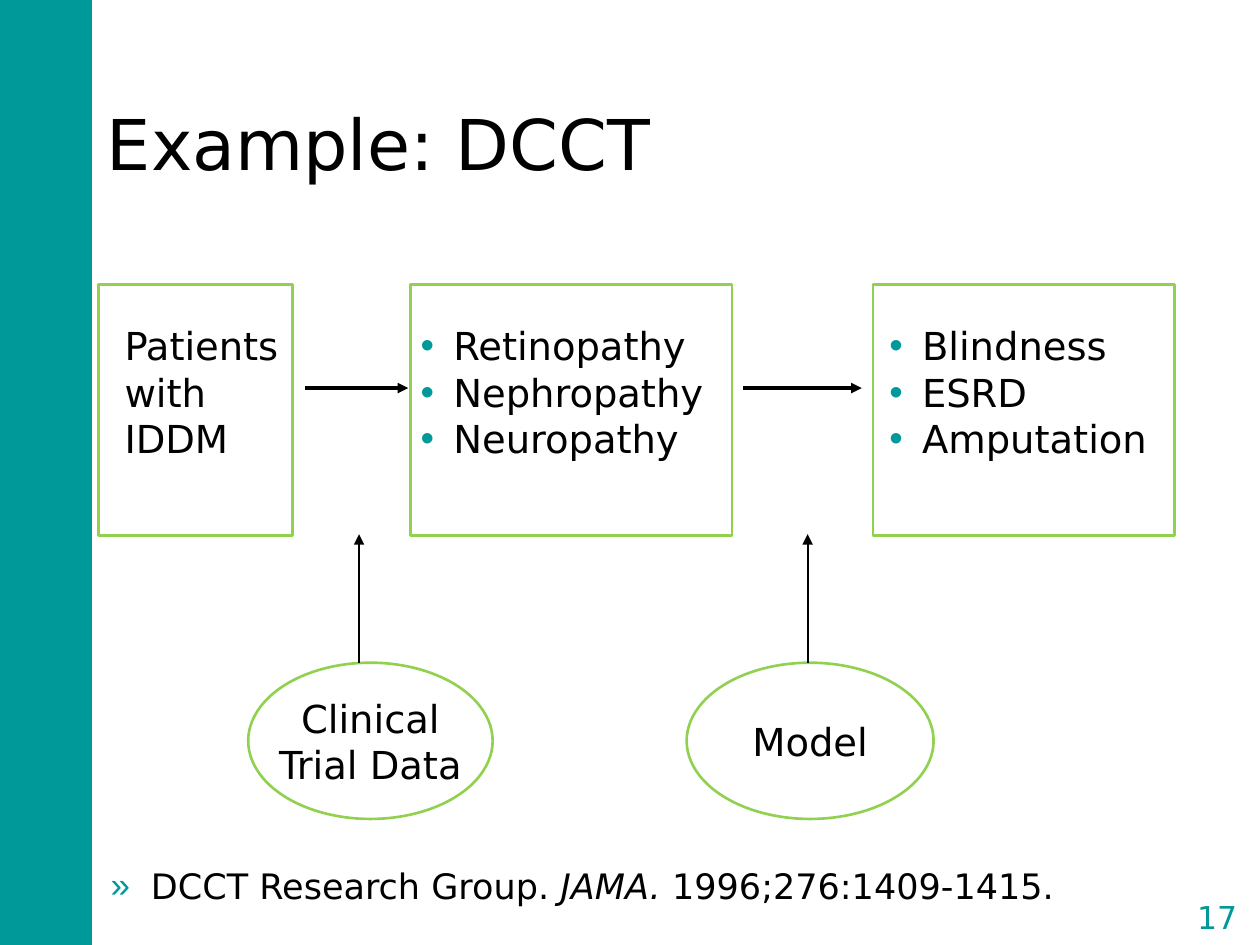
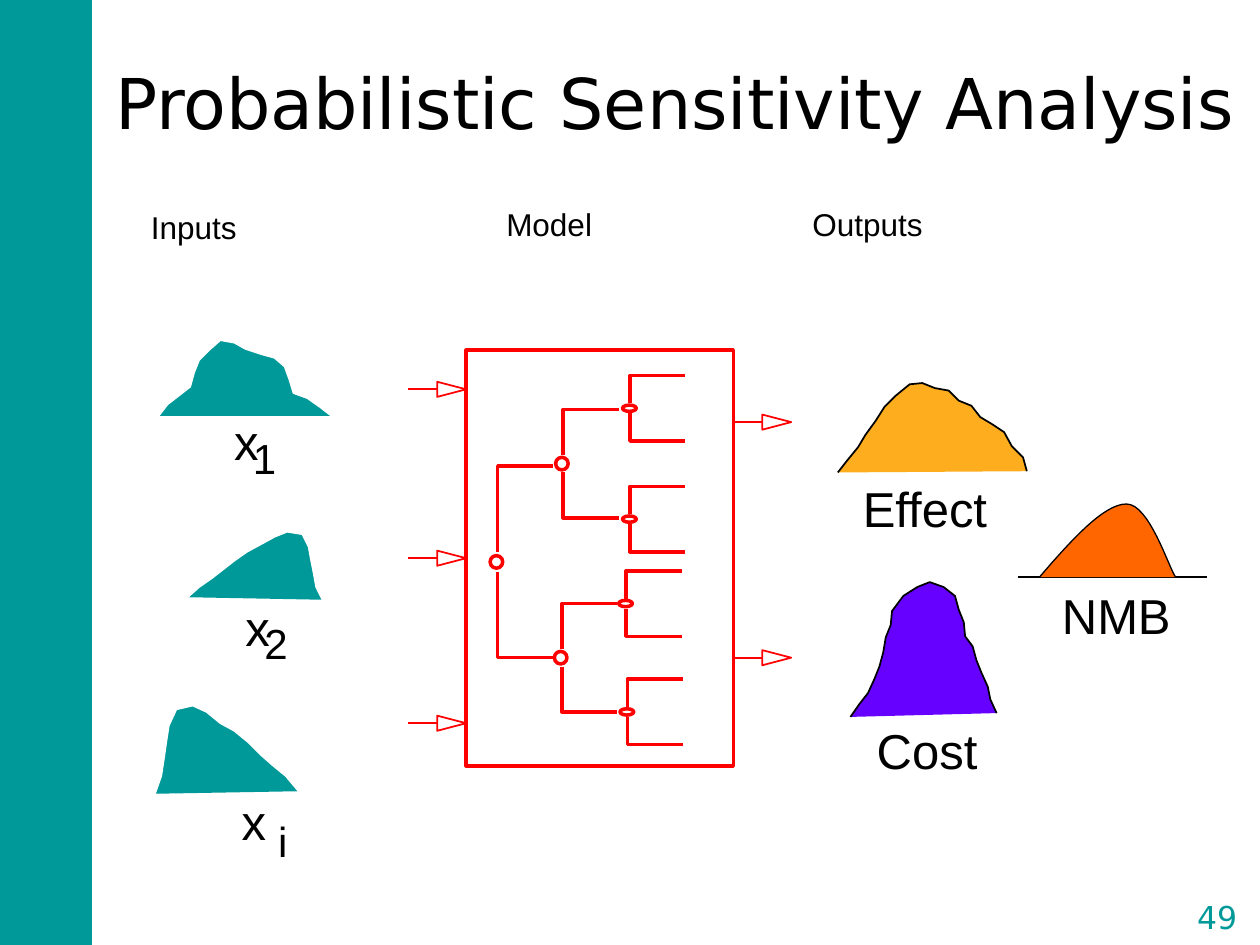
from dataclasses import dataclass
from typing import NamedTuple, Optional

from lxml.etree import SubElement
from pptx import Presentation
from pptx.dml.color import RGBColor
from pptx.enum.shapes import MSO_CONNECTOR, MSO_SHAPE
from pptx.enum.text import MSO_ANCHOR as Anchor, MSO_AUTO_SIZE as AutoSize, PP_ALIGN as Align
from pptx.oxml.ns import qn
from pptx.util import Inches, Pt

WHITE = RGBColor(0xFF, 0xFF, 0xFF)
BLACK = RGBColor(0x00, 0x00, 0x00)
TEAL = RGBColor(0x00, 0x99, 0x99)
GREEN = RGBColor(0x92, 0xD0, 0x50)
RED = RGBColor(0xFF, 0x00, 0x00)
VIOLET = RGBColor(0x66, 0x00, 0xFF)
AMBER = RGBColor(0xFD, 0xAD, 0x1E)
ORANGE = RGBColor(0xFF, 0x66, 0x00)

SANS, ARIAL = "DejaVu Sans", "Arial"
TITLE = {"name": SANS, "size": Pt(40)}
BODY = {"name": SANS, "size": Pt(22)}
SOURCE = {"name": SANS, "size": Pt(20)}
NUMBER = {"name": SANS, "size": Pt(18)}
HEADING = {"name": ARIAL, "size": Pt(18)}
LABEL = {"name": ARIAL, "size": Pt(28)}
SUBSCRIPT = {"name": ARIAL, "size": Pt(24)}


class Area(NamedTuple):
    left: float
    top: float
    width: float
    height: float

    def lengths(self) -> list:
        return [Inches(value) for value in self]


class Point(NamedTuple):
    x: float
    y: float


class Bullet(NamedTuple):
    symbol: str
    indent: float


@dataclass
class Label:
    area: Area
    lines: list  # each line is a string or a list of (text, italic) pairs
    font: dict
    color: RGBColor = BLACK
    align: Align = Align.LEFT
    anchor: Anchor = Anchor.TOP
    wrap: bool = True
    bullet: Optional[Bullet] = None


@dataclass
class Curve:
    points: list
    fill: RGBColor
    line: RGBColor = BLACK
    width: float = 1


class Level(NamedTuple):
    """Measures shared by the forks at one depth of the decision tree."""
    gap: float
    rise: float
    node_width: float
    node_height: float


DOT = Bullet("•", 0.26)
QUOTE = Bullet("»", 0.32)
ROOT = Level(0.08, 0.76, 0.1, 0.1)
MIDDLE = Level(0.07, 0.43, 0.1, 0.1)
LEAF = Level(0.04, 0.26, 0.11, 0.05)
BRANCH_RUN = 0.44


# Text
def add_bullet(para, bullet: Bullet) -> None:
    properties = para._p.get_or_add_pPr()
    properties.set("marL", str(Inches(bullet.indent)))
    properties.set("indent", str(-Inches(bullet.indent)))
    color = SubElement(properties, qn("a:buClr"))
    SubElement(color, qn("a:srgbClr")).set("val", str(TEAL))
    SubElement(properties, qn("a:buFont")).set("typeface", ARIAL)
    SubElement(properties, qn("a:buChar")).set("char", bullet.symbol)


def fill_text(frame, label: Label) -> None:
    frame.word_wrap = label.wrap
    frame.vertical_anchor = label.anchor
    for index, line in enumerate(label.lines):
        para = frame.add_paragraph() if index else frame.paragraphs[0]
        para.alignment = label.align
        if label.bullet:
            add_bullet(para, label.bullet)
        for text, italic in [(line, False)] if isinstance(line, str) else line:
            span = para.add_run()
            span.text = text
            for name, value in {**label.font, "italic": italic}.items():
                setattr(span.font, name, value)
            span.font.color.rgb = label.color


def add_label(page, label: Label) -> None:
    box = page.shapes.add_textbox(*label.area.lengths())
    fill_text(box.text_frame, label)
    if label.anchor == Anchor.TOP:
        box.text_frame.auto_size = AutoSize.SHAPE_TO_FIT_TEXT


# Shapes and lines
def paint(shape, fill: Optional[RGBColor], line: Optional[RGBColor], width: float = 1) -> None:
    shape.shadow.inherit = False
    if fill is None:
        shape.fill.background()
    else:
        shape.fill.solid()
        shape.fill.fore_color.rgb = fill
    if line is None:
        shape.line.fill.background()
    else:
        shape.line.color.rgb = line
        shape.line.width = Pt(width)


def add_preset(page, kind: MSO_SHAPE, area: Area, fill, line, width: float = 1):
    shape = page.shapes.add_shape(kind, *area.lengths())
    paint(shape, fill, line, width)
    return shape


def add_outline(page, points: list, fill, line, width: float = 1, close: bool = False) -> None:
    corners = [(Inches(x), Inches(y)) for x, y in points]
    builder = page.shapes.build_freeform(*corners[0])
    builder.add_line_segments(corners[1:], close=close)
    paint(builder.convert_to_shape(), fill, line, width)


def add_line(page, start: Point, end: Point, color: RGBColor, width: float,
             arrow: bool = False) -> None:
    ends = [Inches(value) for value in (*start, *end)]
    line = page.shapes.add_connector(MSO_CONNECTOR.STRAIGHT, *ends)
    line.line.color.rgb = color
    line.line.width = Pt(width)
    properties = line._element.spPr
    if arrow:
        SubElement(properties.find(qn("a:ln")), qn("a:tailEnd")).set("type", "triangle")
    SubElement(properties, qn("a:effectLst"))


def add_page(deck, title: Label, number: str):
    page = deck.slides.add_slide(deck.slide_layouts[6])
    add_preset(page, MSO_SHAPE.RECTANGLE, Area(0, 0, 0.73, 7.5), TEAL, None)
    add_label(page, title)
    add_label(page, Label(Area(9.26, 7.06, 0.8, 0.43), [number], NUMBER, TEAL,
                          Align.CENTER, Anchor.MIDDLE))
    return page


# Slide with the trial example
def build_trial_page(deck) -> None:
    title = Label(Area(0.75, 0.67, 8.5, 0.92), ["Example: DCCT"], TITLE, anchor=Anchor.MIDDLE)
    page = add_page(deck, title, "17")
    citation = [("DCCT Research Group. ", False), ("JAMA. ", True), ("1996;276:1409-1415.", False)]
    add_label(page, Label(Area(0.78, 6.81, 8.54, 0.43), [citation], SOURCE, bullet=QUOTE))

    # Disease stages: frame left and width, text left and width
    stages = [
        (0.78, 1.54, 0.89, 1.43, ["Patients", "with", "IDDM"], None),
        (3.26, 2.55, 3.24, 2.45, ["Retinopathy", "Nephropathy", "Neuropathy"], DOT),
        (6.93, 2.39, 6.96, 2.25, ["Blindness", "ESRD", "Amputation"], DOT),
    ]
    for left, width, text_left, text_width, lines, bullet in stages:
        add_preset(page, MSO_SHAPE.RECTANGLE, Area(left, 2.26, width, 1.99), WHITE, GREEN, 1.5)
        add_label(page, Label(Area(text_left, 2.51, text_width, 1.21), lines, BODY,
                              wrap=False, bullet=bullet))
    for start, end in [(2.42, 3.24), (5.9, 6.84)]:
        add_line(page, Point(start, 3.08), Point(end, 3.08), BLACK, 2, arrow=True)

    # Evidence behind each step
    for left, width, arrow_x, lines in [(1.97, 1.94, 2.85, ["Clinical", "Trial Data"]),
                                        (5.45, 1.96, 6.41, ["Model"])]:
        area = Area(left, 5.26, width, 1.24)
        oval = add_preset(page, MSO_SHAPE.OVAL, area, WHITE, GREEN, 1.5)
        fill_text(oval.text_frame, Label(area, lines, BODY, align=Align.CENTER,
                                         anchor=Anchor.MIDDLE, wrap=False))
        add_line(page, Point(arrow_x, 5.26), Point(arrow_x, 4.24), BLACK, 1, arrow=True)


# Slide with the sensitivity analysis
def add_fork(page, stem: float, center: float, level: Level) -> None:
    node = Area(stem - 0.06, center - level.node_height / 2, level.node_width, level.node_height)
    add_preset(page, MSO_SHAPE.OVAL, node, None, RED, 2)
    for side in (-1, 1):
        tip = center + side * level.rise
        add_outline(page, [(stem, center + side * level.gap), (stem, tip),
                           (stem + BRANCH_RUN, tip)], None, RED, 2)


def add_open_arrow(page, left: float, y: float) -> None:
    neck, tip = left + 0.23, left + 0.46
    add_line(page, Point(left, y), Point(neck, y), RED, 1)
    add_outline(page, [(tip, y), (neck, y - 0.06), (neck, y + 0.06)], WHITE, RED, close=True)


def bezier(start: Point, first: Point, second: Point, end: Point, steps: int = 16) -> list:
    def blend(t: float, a: float, b: float, c: float, d: float) -> float:
        u = 1 - t
        return u**3 * a + 3 * u * u * t * b + 3 * u * t * t * c + t**3 * d

    return [Point(*(blend(step / steps, *axis) for axis in zip(start, first, second, end)))
            for step in range(steps + 1)]


def build_sensitivity_page(deck) -> None:
    title = Label(Area(0.78, 0.42, 9.15, 0.77), ["Probabilistic Sensitivity Analysis"],
                  TITLE, align=Align.CENTER)
    page = add_page(deck, title, "49")
    for left, top, text in [(1.1, 1.6, "Inputs"), (3.92, 1.58, "Model"), (6.35, 1.58, "Outputs")]:
        add_label(page, Label(Area(left, top, 2, 0.4), [text], HEADING))

    # Distributions
    nmb_rise = bezier(Point(8.25, 4.58), Point(8.5, 4.29), Point(8.76, 4), Point(8.94, 4))
    nmb_fall = bezier(Point(8.94, 4), Point(9.12, 4), Point(9.27, 4.49), Point(9.33, 4.58))
    curves = [
        Curve([(1.26, 3.3), (1.33, 3.21), (1.42, 3.14), (1.51, 3.07), (1.54, 2.96), (1.58, 2.86),
               (1.67, 2.77), (1.75, 2.7), (1.86, 2.72), (1.95, 2.77), (2.07, 2.81), (2.18, 2.84),
               (2.26, 2.91), (2.3, 3.02), (2.33, 3.12), (2.44, 3.16), (2.54, 3.23), (2.63, 3.3)],
              TEAL, WHITE),
        Curve([(1.49, 4.74), (1.58, 4.66), (1.68, 4.59), (1.77, 4.52), (1.86, 4.45), (1.96, 4.38),
               (2.07, 4.32), (2.18, 4.26), (2.28, 4.22), (2.4, 4.24), (2.45, 4.34), (2.47, 4.45),
               (2.49, 4.55), (2.51, 4.66), (2.56, 4.76)], TEAL, WHITE),
        Curve([(2.37, 6.28), (2.27, 6.16), (2.16, 6.07), (2.07, 5.99), (1.97, 5.89), (1.86, 5.8),
               (1.75, 5.74), (1.64, 5.65), (1.53, 5.6), (1.4, 5.63), (1.34, 5.76), (1.32, 5.89),
               (1.3, 6.03), (1.28, 6.16), (1.23, 6.3)], TEAL, WHITE),
        Curve([(6.75, 5.69), (6.82, 5.59), (6.89, 5.5), (6.94, 5.39), (6.98, 5.29), (7.01, 5.18),
               (7.03, 5.06), (7.07, 4.96), (7.08, 4.85), (7.17, 4.73), (7.28, 4.66), (7.38, 4.62),
               (7.49, 4.66), (7.58, 4.73), (7.61, 4.84), (7.65, 4.94), (7.66, 5.05), (7.72, 5.13),
               (7.75, 5.24), (7.79, 5.34), (7.84, 5.45), (7.86, 5.55), (7.91, 5.66)], VIOLET),
        Curve([(6.65, 3.75), (6.72, 3.66), (6.81, 3.55), (6.87, 3.45), (6.95, 3.34), (7.02, 3.23),
               (7.11, 3.14), (7.22, 3.05), (7.32, 3.04), (7.42, 3.08), (7.53, 3.1), (7.61, 3.18),
               (7.71, 3.22), (7.78, 3.31), (7.88, 3.37), (7.97, 3.43), (8.03, 3.54), (8.12, 3.63),
               (8.15, 3.74)], AMBER),
        Curve(nmb_rise + nmb_fall[1:], ORANGE, width=0.75),
    ]
    add_line(page, Point(8.08, 4.58), Point(9.58, 4.58), BLACK, 0.75)
    for curve in curves:
        add_outline(page, curve.points, curve.fill, curve.line, curve.width)

    # Names of inputs and outputs
    for x_left, x_top, sub_left, sub_top, sub in [(1.76, 3.22, 1.91, 3.38, "1"),
                                                  (1.85, 4.69, 2, 4.85, "2"),
                                                  (1.82, 6.23, 2.11, 6.42, "i")]:
        add_label(page, Label(Area(x_left, x_top, 0.44, 0.57), ["x"], LABEL))
        add_label(page, Label(Area(sub_left, sub_top, 0.43, 0.51), [sub], SUBSCRIPT))
    for left, top, width, text in [(6.86, 5.67, 1.11, "Cost"), (6.75, 3.75, 1.32, "Effect"),
                                   (8.33, 4.6, 1.07, "NMB")]:
        add_label(page, Label(Area(left, top, width, 0.57), [text], LABEL, wrap=False))

    # Decision tree in its frame, with arrows in and out
    add_preset(page, MSO_SHAPE.RECTANGLE, Area(3.7, 2.78, 2.12, 3.3), None, RED, 2)
    for left, heights in [(3.24, (3.09, 4.43, 5.74)), (5.82, (3.35, 5.22))]:
        for y in heights:
            add_open_arrow(page, left, y)
    forks = {ROOT: [(3.95, 4.46)],
             MIDDLE: [(4.47, 3.68), (4.46, 5.22)],
             LEAF: [(5, 3.24), (5, 4.12), (4.97, 4.79), (4.98, 5.65)]}
    for level, places in forks.items():
        for stem, center in places:
            add_fork(page, stem, center, level)


def main() -> None:
    deck = Presentation()
    deck.slide_width, deck.slide_height = Inches(10), Inches(7.5)
    build_trial_page(deck)
    build_sensitivity_page(deck)
    deck.save("out.pptx")


if __name__ == "__main__":
    main()
